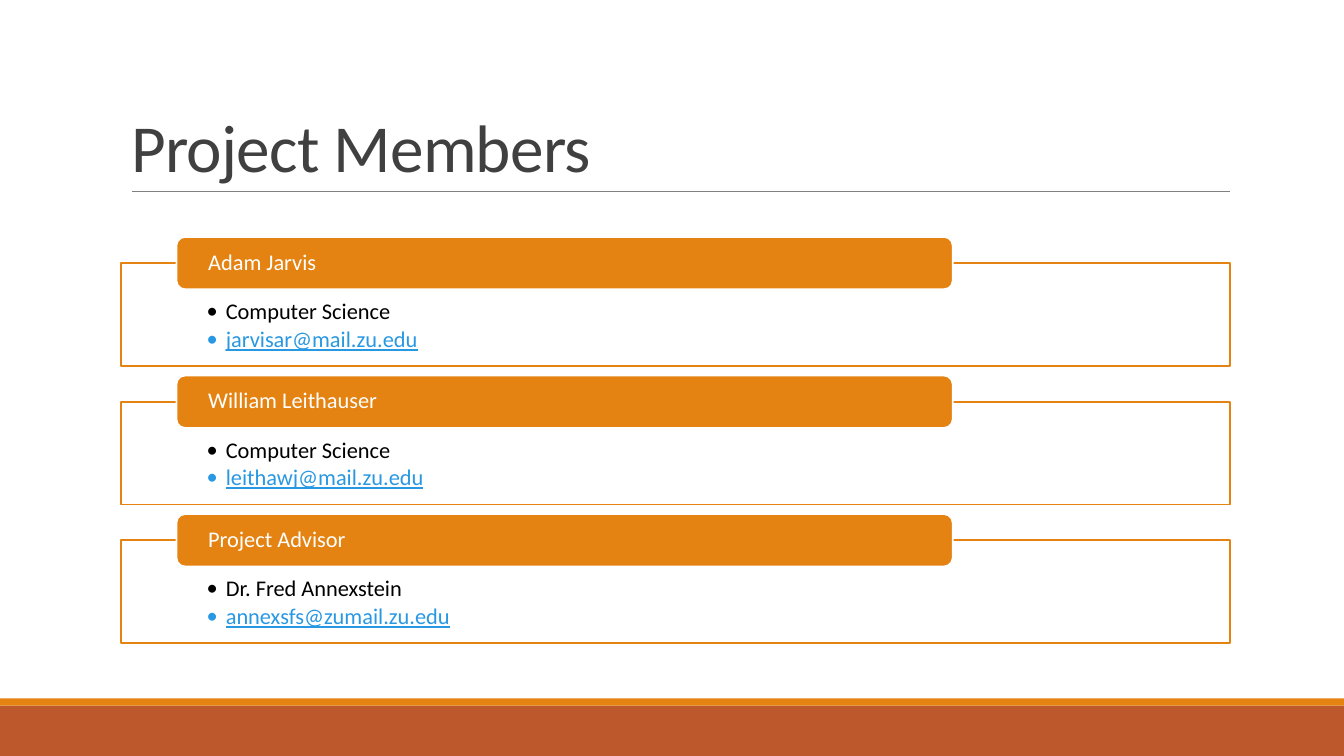
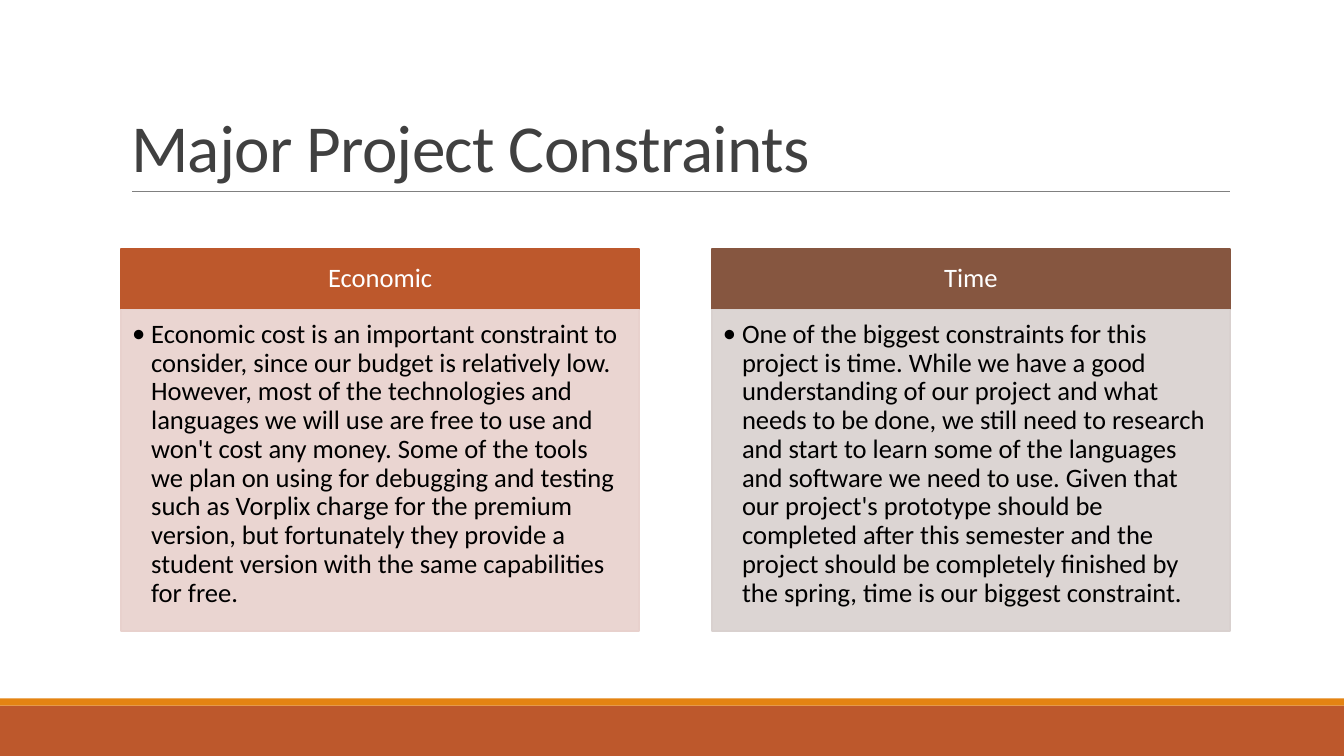
from lxml import etree
from pptx import Presentation
from pptx.dml.color import RGBColor
from pptx.enum.shapes import MSO_CONNECTOR as CONN, MSO_SHAPE as SHAPE
from pptx.enum.text import MSO_ANCHOR as ANCHOR, MSO_AUTO_SIZE as FIT, PP_ALIGN as ALIGN
from pptx.oxml.ns import qn
from pptx.util import Inches, Pt

FONT = "Calibri"
ORANGE, RUST, BROWN = "E48312", "BD582C", "865640"
PINK, TAUPE, WHITE, BLACK = "E8D1CD", "D9D1CF", "FFFFFF", "000000"
TITLE_GREY, RULE_GREY, LINK_BLUE = "404040", "808080", "2998E3"

SLIDE_W, SLIDE_H = 13.33, 7.5
LEFT, WIDTH = 1.2, 11
BAND_TOP, STRIPE_H = 7, 0.07
RULE_Y = 1.9
INDENT = 0.19

MEMBERS = [
    ("Adam Jarvis", "Computer Science", "jarvisar@mail.zu.edu"),
    ("William Leithauser", "Computer Science", "leithawj@mail.zu.edu"),
    ("Project Advisor", "Dr. Fred Annexstein", "annexsfs@zumail.zu.edu"),
]
CONSTRAINTS = [
    ("Economic", RUST, PINK,
     "Economic cost is an important constraint to consider, since our budget is "
     "relatively low. However, most of the technologies and languages we will use "
     "are free to use and won't cost any money. Some of the tools we plan on using "
     "for debugging and testing such as Vorplix charge for the premium version, but "
     "fortunately they provide a student version with the same capabilities for free."),
    ("Time", BROWN, TAUPE,
     "One of the biggest constraints for this project is time. While we have a good "
     "understanding of our project and what needs to be done, we still need to "
     "research and start to learn some of the languages and software we need to use. "
     "Given that our project's prototype should be completed after this semester and "
     "the project should be completely finished by the spring, time is our biggest "
     "constraint."),
]


def rgb(color):
    return RGBColor.from_string(color)


def box(slide, x, y, w, h, fill, line=None, kind=SHAPE.RECTANGLE, alpha=None):
    """Add a filled shape; alpha is the opacity of its fill in percent."""
    sp = slide.shapes.add_shape(kind, Inches(x), Inches(y), Inches(w), Inches(h))
    sp.shadow.inherit = False
    sp.fill.solid()
    sp.fill.fore_color.rgb = rgb(fill)
    if alpha:
        color = sp.fill._xPr.find(f"{qn('a:solidFill')}/{qn('a:srgbClr')}")
        etree.SubElement(color, qn("a:alpha")).set("val", str(alpha * 1000))
    if line:
        sp.line.color.rgb = rgb(line)
        sp.line.width = Pt(1.25)
    else:
        sp.line.fill.background()
    return sp


def frame(sp, insets, anchor=ANCHOR.TOP):
    """Set the insets (left, top, right, bottom) and anchor of a shape's text."""
    tf = sp.text_frame
    tf.word_wrap, tf.auto_size, tf.vertical_anchor = True, FIT.NONE, anchor
    tf.margin_left, tf.margin_top, tf.margin_right, tf.margin_bottom = map(Inches, insets)
    return tf


def write(tf, text, size, color, align=ALIGN.LEFT, spacing=0.9, after=0,
          underline=None, bullet=False, tracking=None):
    """Write text into the empty first paragraph, or into a new one after it."""
    p = tf.paragraphs[0]
    if p.runs:
        p = tf.add_paragraph()
    p.alignment, p.line_spacing, p.space_after = align, spacing, Pt(after)
    if bullet:
        pPr = p._p.get_or_add_pPr()
        pPr.set("marL", str(Inches(INDENT)))
        pPr.set("indent", str(-Inches(INDENT)))
        etree.SubElement(pPr, qn("a:buFont")).set("typeface", FONT)
        etree.SubElement(pPr, qn("a:buChar")).set("char", "•")
    r = p.add_run()
    r.text = text
    r.font.name, r.font.size, r.font.underline = FONT, Pt(size), underline
    r.font.color.rgb = rgb(color)
    if tracking:
        r._r.get_or_add_rPr().set("spc", str(int(tracking * 100)))


def rule(slide, x1, x2, y):
    line = slide.shapes.add_connector(CONN.STRAIGHT, Inches(x1), Inches(y),
                                      Inches(x2), Inches(y))
    line.line.color.rgb = rgb(RULE_GREY)
    line.line.width = Pt(0.5)
    etree.SubElement(line._element.spPr, qn("a:effectLst"))


def titled_slide(prs, title):
    slide = prs.slides.add_slide(prs.slide_layouts[5])
    box(slide, 0, BAND_TOP, SLIDE_W, SLIDE_H - BAND_TOP, RUST)
    box(slide, 0, BAND_TOP - STRIPE_H, SLIDE_W, STRIPE_H, ORANGE)
    rule(slide, LEFT + 0.11, LEFT + WIDTH, RULE_Y)
    sp = slide.shapes.title
    sp.left, sp.top, sp.width, sp.height = map(Inches, (LEFT, 0.31, WIDTH, RULE_Y - 0.31))
    tf = frame(sp, (0.1, 0.05, 0.1, 0.05), ANCHOR.BOTTOM)
    write(tf, title, 48, TITLE_GREY, spacing=0.85, tracking=-0.5)
    return slide


def member_row(slide, y, name, role, email):
    label_h = 0.52
    panel = box(slide, LEFT, y, WIDTH, 1.02, WHITE, ORANGE, alpha=90)
    tf = frame(panel, (0.85, 0.37, 0.85, 0.12))
    write(tf, role, 16, BLACK, bullet=True, after=2.4)
    write(tf, email, 16, LINK_BLUE, bullet=True, after=2.4, underline=True)
    label = box(slide, LEFT + WIDTH * 0.05, y - label_h / 2, WIDTH * 0.7, label_h,
                ORANGE, WHITE, SHAPE.ROUNDED_RECTANGLE)
    write(frame(label, (0.29, 0, 0.29, 0), ANCHOR.MIDDLE), name, 16, WHITE)


def constraint_column(slide, x, w, heading, color, tint, text):
    top, head_h = 2.47, 0.6
    head = box(slide, x, top, w, head_h, color, color)
    write(frame(head, (0.15, 0.08, 0.15, 0.08), ANCHOR.MIDDLE), heading, 19, WHITE,
          align=ALIGN.CENTER)
    body = box(slide, x, top + head_h, w, 3.19, tint, tint, alpha=90)
    write(frame(body, (0.11, 0.11, 0.15, 0.17)), text, 19, BLACK, bullet=True)


def main():
    prs = Presentation()
    prs.slide_width, prs.slide_height = Inches(SLIDE_W), Inches(SLIDE_H)

    slide = titled_slide(prs, "Project Members")
    first_row, last_row = 2.61, 5.36
    pitch = (last_row - first_row) / (len(MEMBERS) - 1)
    for i, member in enumerate(MEMBERS):
        member_row(slide, first_row + i * pitch, *member)

    slide = titled_slide(prs, "Major Project Constraints")
    gap = 0.72
    col_w = (WIDTH - gap) / len(CONSTRAINTS)
    for i, constraint in enumerate(CONSTRAINTS):
        constraint_column(slide, LEFT + i * (col_w + gap), col_w, *constraint)

    prs.save("out.pptx")


if __name__ == "__main__":
    main()
